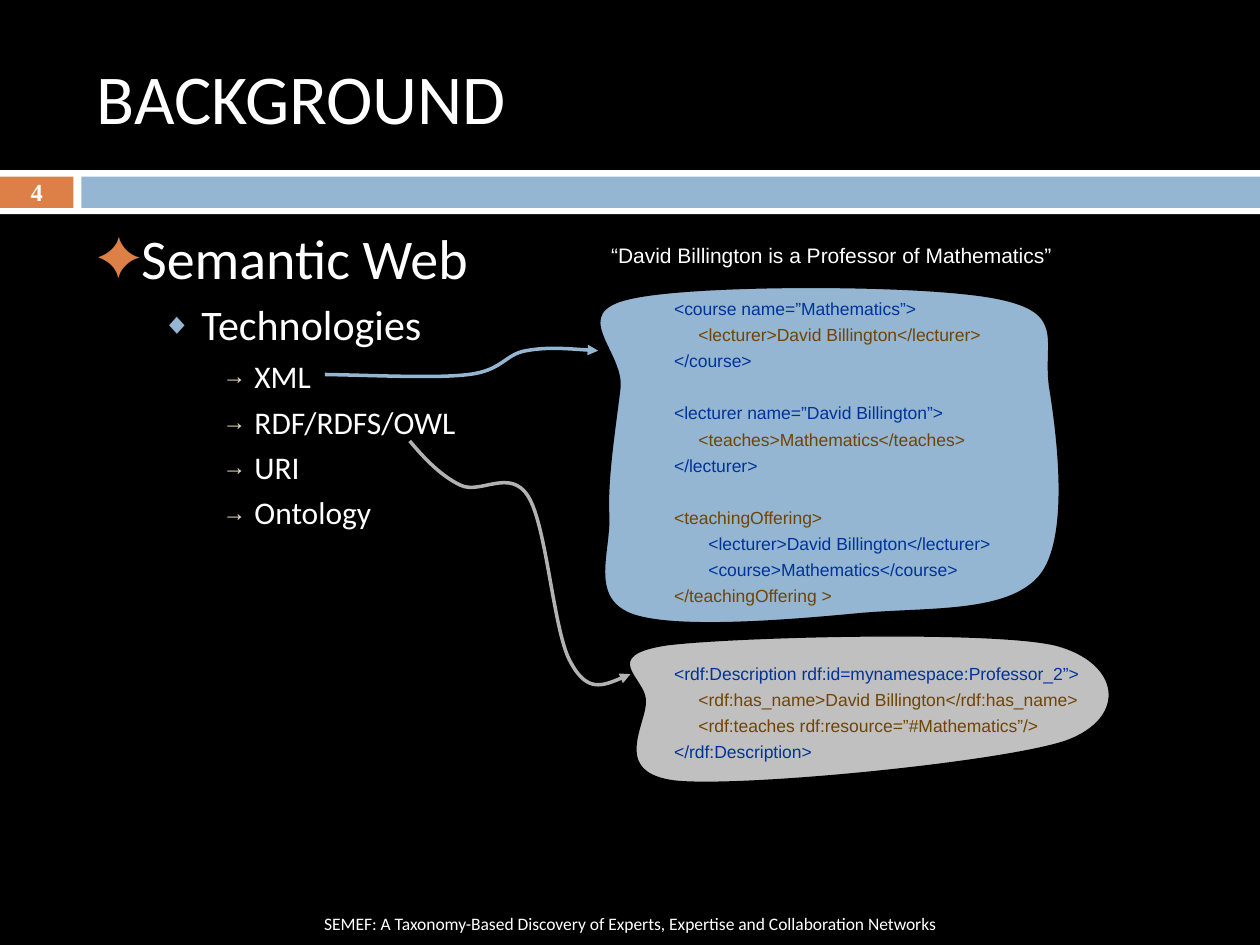
from lxml.etree import SubElement
from pptx import Presentation
from pptx.dml.color import RGBColor
from pptx.enum.shapes import MSO_SHAPE
from pptx.enum.text import MSO_ANCHOR, MSO_AUTO_SIZE, PP_ALIGN
from pptx.oxml.ns import qn
from pptx.util import Cm, Pt

COLORS = {
    "black": "000000", "white": "FFFFFF", "orange": "DD8047", "blue": "94B6D2",
    "sand": "EBDDC3", "silver": "C0C0C0", "gray": "B2B2B2",
    "navy": "003399", "brown": "704404",
}

BULLETS = [
    ("Semantic Web", 0), ("Technologies", 1), ("XML", 2),
    ("RDF/RDFS/OWL", 2), ("URI", 2), ("Ontology", 2),
]
BULLET_LEVELS = [
    ("✦", "orange", 100, 0.89, 0.89, 32, 7),
    ("◆", "blue", 70, 2.11, 0.79, 24, 5.5),
    ("→", "sand", 75, 3.18, 0.64, 18, 5),
]

CODE_INDENTS = [1.27, 1.76, 1.96]
CODE_LINE = 14.86
CODE_LINES = [
    ("<course name=”Mathematics”>", "navy", 0, 1),
    ("<lecturer>David Billington</lecturer>", "brown", 1, 0),
    ("</course>", "navy", 0, 0),
    ("<lecturer name=”David Billington”>", "navy", 0, 1),
    ("<teaches>Mathematics</teaches>", "brown", 1, 0),
    ("</lecturer>", "navy", 0, 0),
    ("<teachingOffering>", "brown", 0, 1),
    ("<lecturer>David Billington</lecturer>", "navy", 2, 0),
    ("<course>Mathematics</course>", "navy", 2, 0),
    ("</teachingOffering >", "brown", 0, 0),
    ("<rdf:Description rdf:id=mynamespace:Professor_2”>", "navy", 0, 2),
    ("<rdf:has_name>David Billington</rdf:has_name>", "brown", 1, 0),
    ("<rdf:teaches rdf:resource=”#Mathematics”/>", "brown", 1, 0),
    ("</rdf:Description>", "navy", 0, 0),
]

RDF_BLOB = [
    (0.94, 1.4), (0.91, 0.97), (0, 0.51), (1.37, 0.3), (2.74, 0.13), (7.87, 0),
    (9.19, 0.3), (10.54, 0.64), (10.69, 1.78), (9.42, 2.24), (8.15, 2.67),
    (3, 3.18), (1.57, 3.05), (0.18, 2.9), (0.99, 1.85), (0.94, 1.4),
]
XML_BLOB = [
    (1.27, 0.3), (2.54, 0), (7.26, 0), (8.69, 0.3), (10.08, 0.58), (9.6, 1.14),
    (9.73, 2.08), (9.88, 3), (10.16, 5.13), (9.53, 5.89), (8.89, 6.65),
    (7.32, 6.53), (5.92, 6.65), (4.55, 6.78), (2.11, 6.99), (1.27, 6.65),
    (0.43, 6.3), (0.89, 5.38), (0.84, 4.62), (0.81, 3.86), (0.99, 2.79),
    (1.07, 2.08), (1.12, 1.35), (0, 0.58), (1.27, 0.3),
]
XML_ARROW = [
    (0, 0.56), (1.12, 0.58), (2.24, 0.64), (2.9, 0.56), (3.58, 0.48),
    (3.63, 0.15), (4.06, 0.08), (4.5, 0), (5, 0.05), (5.51, 0.08),
]
RDF_ARROW = [
    (0, 0), (0.3, 0.36), (0.64, 0.71), (1.02, 0.89), (1.42, 1.09), (2.03, 0.53),
    (2.39, 1.12), (2.77, 1.73), (2.9, 3.89), (3.25, 4.47), (3.58, 5.08),
    (4.01, 4.9), (4.45, 4.7),
]


def color(name):
    return RGBColor.from_string(COLORS[name])


def format_paragraph(paragraph, size, font_name, color_name="white", spacing=0.98):
    paragraph.line_spacing = spacing
    paragraph.font.size = Pt(size)
    paragraph.font.name = font_name
    paragraph.font.color.rgb = color(color_name)


def add_rectangle(slide, left, top, width, height, fill):
    shape = slide.shapes.add_shape(
        MSO_SHAPE.RECTANGLE, Cm(left), Cm(top), Cm(width), Cm(height))
    shape.shadow.inherit = False
    shape.fill.solid()
    shape.fill.fore_color.rgb = color(fill)
    shape.line.fill.background()
    return shape


def add_text_frame(slide, left, top, width, height, anchor=MSO_ANCHOR.TOP):
    box = slide.shapes.add_textbox(Cm(left), Cm(top), Cm(width), Cm(height))
    frame = box.text_frame
    frame.word_wrap = True
    frame.vertical_anchor = anchor
    return frame


def add_curve(slide, left, top, points, line, line_width, fill=None):
    start, *rest = [(Cm(x), Cm(y)) for x, y in points]
    builder = slide.shapes.build_freeform(*start)
    builder.add_line_segments(rest, close=fill is not None)
    shape = builder.convert_to_shape(Cm(left), Cm(top))
    segments = list(shape._element.iter(qn("a:lnTo")))[:len(rest)]
    for first in range(0, len(rest), 3):
        triple = segments[first:first + 3]
        parent = triple[0].getparent()
        curve = SubElement(parent, qn("a:cubicBezTo"))
        parent.replace(triple[0], curve)
        for segment in triple:
            curve.append(segment[0])
        for segment in triple[1:]:
            parent.remove(segment)
    shape.shadow.inherit = False
    shape.line.color.rgb = color(line)
    shape.line.width = Pt(line_width)
    if fill:
        shape.fill.solid()
        shape.fill.fore_color.rgb = color(fill)
    else:
        shape.fill.background()
        SubElement(shape.line._get_or_add_ln(), qn("a:tailEnd"), type="triangle")
    return shape


def add_title(slide, left, top, width, height):
    title = slide.shapes.title
    title.left, title.top = Cm(left), Cm(top)
    title.width, title.height = Cm(width), Cm(height)
    frame = title.text_frame
    frame.text = "BACKGROUND"
    frame.auto_size = MSO_AUTO_SIZE.NONE
    frame.vertical_anchor = MSO_ANCHOR.MIDDLE
    paragraph = frame.paragraphs[0]
    paragraph.alignment = PP_ALIGN.LEFT
    format_paragraph(paragraph, 40, "Calibri")


def add_band(slide, left, top, width, height):
    number_width, gap, margin = 1.48, 0.16, 0.13
    bar_left = number_width + gap
    bar_height = height - 2 * margin
    add_rectangle(slide, left, top, width, height, "white")
    add_rectangle(slide, left, top + margin, number_width, bar_height, "orange")
    add_rectangle(slide, left + bar_left, top + margin, width - bar_left, bar_height, "blue")
    frame = add_text_frame(slide, left, top + 0.04, number_width, 0.85, MSO_ANCHOR.MIDDLE)
    paragraph = frame.paragraphs[0]
    paragraph.text = "4"
    paragraph.alignment = PP_ALIGN.CENTER
    paragraph.font.bold = True
    format_paragraph(paragraph, 14, "Times New Roman")


def add_bullets(slide, left, top, width, height):
    frame = add_text_frame(slide, left, top, width, height)
    for index, (text, level) in enumerate(BULLETS):
        symbol, symbol_color, percent, margin, hanging, size, space = BULLET_LEVELS[level]
        paragraph = frame.add_paragraph() if index else frame.paragraphs[0]
        paragraph.text = text
        paragraph.level = level
        paragraph.space_before = Pt(space)
        paragraph.line_spacing = 0.97
        properties = paragraph._p.get_or_add_pPr()
        properties.set("marL", str(Cm(margin)))
        properties.set("indent", str(-Cm(hanging)))
        bullet_color = SubElement(properties, qn("a:buClr"))
        SubElement(bullet_color, qn("a:srgbClr"), val=COLORS[symbol_color])
        SubElement(properties, qn("a:buSzPct"), val=str(percent * 1000))
        SubElement(properties, qn("a:buFont"), typeface="Times New Roman")
        SubElement(properties, qn("a:buChar"), char=symbol)
        format_paragraph(paragraph, size, "Calibri", spacing=0.97)


def add_code(slide, left, top, width, height):
    frame = add_text_frame(slide, left, top, width, height, MSO_ANCHOR.MIDDLE)
    quote = frame.paragraphs[0]
    quote.text = "“David Billington is a Professor of Mathematics”"
    format_paragraph(quote, 12, "Arial", spacing=1.24)
    for text, text_color, indent, gap_lines in CODE_LINES:
        paragraph = frame.add_paragraph()
        paragraph.text = text
        paragraph.space_before = Pt(gap_lines * CODE_LINE)
        paragraph._p.get_or_add_pPr().set("marL", str(Cm(CODE_INDENTS[indent])))
        format_paragraph(paragraph, 10, "Arial", text_color, 1.24)


def add_footer(slide, left, top, width, height):
    frame = add_rectangle(slide, left, top, width, height, "black").text_frame
    frame.vertical_anchor = MSO_ANCHOR.MIDDLE
    paragraph = frame.paragraphs[0]
    paragraph.text = ("SEMEF: A Taxonomy-Based Discovery of Experts, "
                      "Expertise and Collaboration Networks")
    paragraph.alignment = PP_ALIGN.CENTER
    format_paragraph(paragraph, 10, "Calibri")


def main():
    presentation = Presentation()
    presentation.slide_width, presentation.slide_height = Cm(25.4), Cm(19.05)
    slide = presentation.slides.add_slide(presentation.slide_layouts[5])
    slide.background.fill.solid()
    slide.background.fill.fore_color.rgb = color("black")
    add_band(slide, 0, 3.43, 25.4, 0.89)
    add_curve(slide, 12.07, 12.7, RDF_BLOB, "black", 0.75, "silver")
    add_curve(slide, 11.43, 5.72, XML_BLOB, "black", 0.75, "blue")
    add_title(slide, 1.7, 0.64, 22.66, 2.74)
    add_bullets(slide, 1.7, 4.45, 11, 12.5)
    add_footer(slide, 0, 18.21, 25.4, 0.84)
    add_code(slide, 12.07, 5.08, 10.3, 9.96)
    add_curve(slide, 6.55, 6.99, XML_ARROW, "blue", 2)
    add_curve(slide, 8.26, 8.89, RDF_ARROW, "gray", 2)
    presentation.save("out.pptx")


if __name__ == "__main__":
    main()
